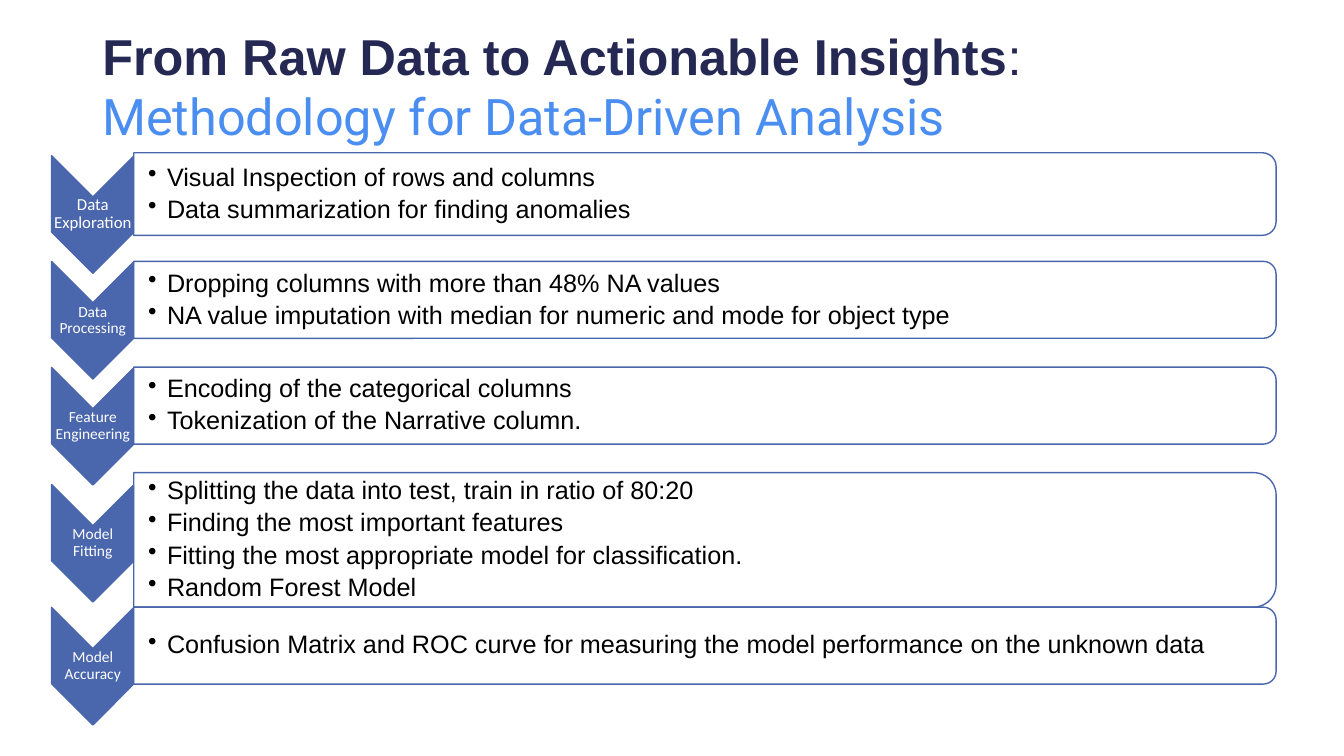
import pptx
import pptx.util
import pptx.dml.color
import pptx.enum.shapes
import pptx.enum.text
import pptx.oxml
from pptx.oxml.ns import qn

Pt = pptx.util.Pt
RGB = pptx.dml.color.RGBColor
SHAPE = pptx.enum.shapes.MSO_SHAPE
ANCHOR = pptx.enum.text.MSO_ANCHOR
ALIGN = pptx.enum.text.PP_ALIGN

NAVY = RGB(0x24, 0x28, 0x52)
SKY = RGB(0x4A, 0x8E, 0xF2)
BLUE = RGB(0x4A, 0x66, 0xAC)
WHITE = RGB(0xFF, 0xFF, 0xFF)
BLACK = RGB(0, 0, 0)

# Step name, name size, chevron middle, panel middle, panel height, points
STEPS = [
    ("Data Exploration", 12, 153.2, 138.6, 59,
     ["Visual Inspection of rows and columns",
      "Data summarization for finding anomalies"]),
    ("Data Processing", 11, 228.8, 214.2, 55,
     ["Dropping columns with more than 48% NA values",
      "NA value imputation with median for numeric and mode for object type"]),
    ("Feature Engineering", 11, 304.4, 289.8, 55,
     ["Encoding of the categorical columns",
      "Tokenization of the Narrative column."]),
    ("Model Fitting", 11, 388, 385.6, 96,
     ["Splitting the data into test, train in ratio of 80:20",
      "Finding the most important features",
      "Fitting the most appropriate model for classification.",
      "Random Forest Model"]),
    ("Model Accuracy", 11, 475.8, 461.2, 55,
     ["Confusion Matrix and ROC curve for measuring the model performance "
      "on the unknown data"]),
]

deck = pptx.Presentation()
deck.slide_width, deck.slide_height = Pt(960), Pt(540)
slide = deck.slides.add_slide(deck.slide_layouts[6])


def turned(kind, x, y, long, wide, fill):
    """Add a shape centred on x, y and turned to the right by 90 degrees."""
    shape = slide.shapes.add_shape(
        kind, Pt(x - long / 2), Pt(y - wide / 2), Pt(long), Pt(wide))
    shape.rotation = 90
    shape.shadow.inherit = False
    shape.fill.solid()
    shape.fill.fore_color.rgb = fill
    shape.line.color.rgb = BLUE
    shape.line.width = Pt(1)
    return shape


def textbox(x, y, width, height, left, inset):
    """Add a wrapped text frame whose middle is at height y."""
    box = slide.shapes.add_textbox(Pt(x), Pt(y - height / 2), Pt(width), Pt(height))
    frame = box.text_frame
    frame.word_wrap = True
    frame.vertical_anchor = ANCHOR.MIDDLE
    frame.margin_left = Pt(left)
    frame.margin_right = frame.margin_top = frame.margin_bottom = Pt(inset)
    return frame


title = textbox(66, 61, 828, 64, 7.2, 3.6).paragraphs[0]
for text, font, color, bold in [
        ("From Raw Data to Actionable Insights", "Arial", NAVY, True),
        (": ", "Arial", NAVY, False),
        ("Methodology for Data-Driven Analysis", "Roboto", SKY, False)]:
    run = title.add_run()
    run.text = text
    run.font.name, run.font.size, run.font.bold = font, Pt(36), bold
    run.font.color.rgb = color

for name, size, mid, row, height, points in STEPS:
    turned(SHAPE.CHEVRON, 66.3, mid, 84, 59, BLUE)
    label = textbox(36.8, mid, 59, 25, 0.6, 0.6).paragraphs[0]
    label.alignment = ALIGN.CENTER
    label.line_spacing = 0.9
    run = label.add_run()
    run.text = name
    run.font.name, run.font.size = "Calibri", Pt(size)
    run.font.color.rgb = WHITE

    panel = turned(SHAPE.ROUND_2_SAME_RECTANGLE, 503.5, row, height, 816, WHITE)
    tint = panel.fill._xPr.find(qn("a:solidFill"))[0]
    tint.append(pptx.oxml.parse_xml(
        '<a:alpha xmlns:a="http://schemas.openxmlformats.org/drawingml/2006/main"'
        ' val="90000"/>'))

    frame = textbox(95.8, row, 813, height - 6, 10, 0.6)
    for i, point in enumerate(points):
        para = frame.add_paragraph() if i else frame.paragraphs[0]
        para.line_spacing = 0.9
        para.space_after = Pt(3.5)
        props = para._p.get_or_add_pPr()
        props.set("marL", str(Pt(13.5)))
        props.set("indent", str(Pt(-13.5)))
        props.append(pptx.oxml.parse_xml(
            '<a:buChar xmlns:a="http://schemas.openxmlformats.org/drawingml/2006/main"'
            ' char="•"/>'))
        run = para.add_run()
        run.text = point
        run.font.name, run.font.size = "Arial", Pt(18)
        run.font.color.rgb = BLACK

deck.save("out.pptx")
